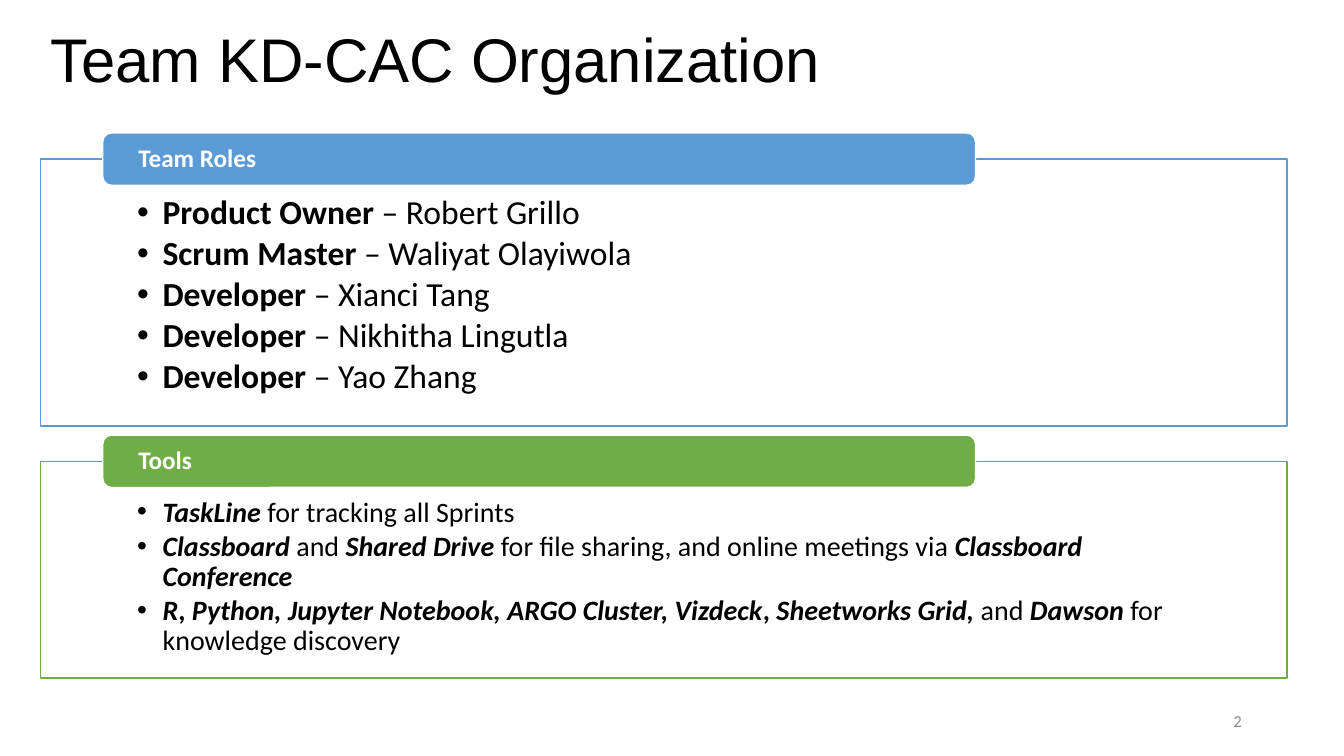
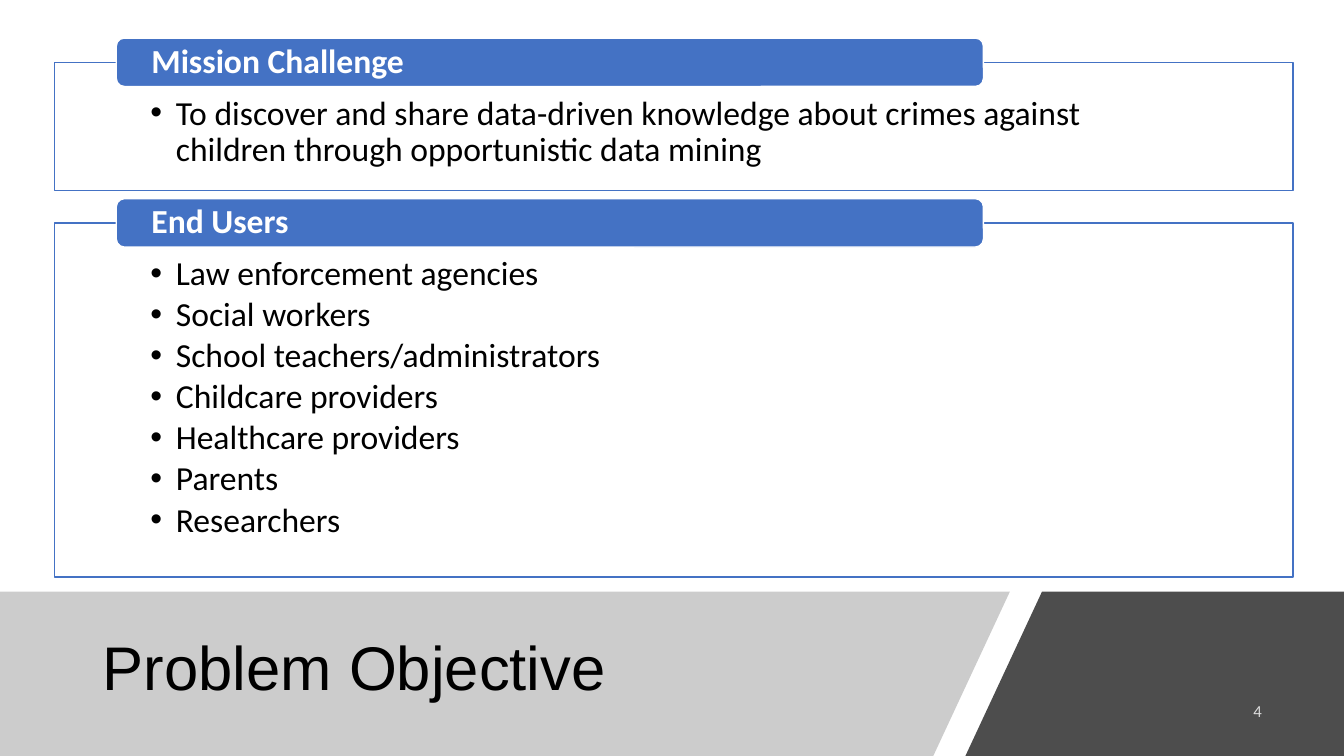
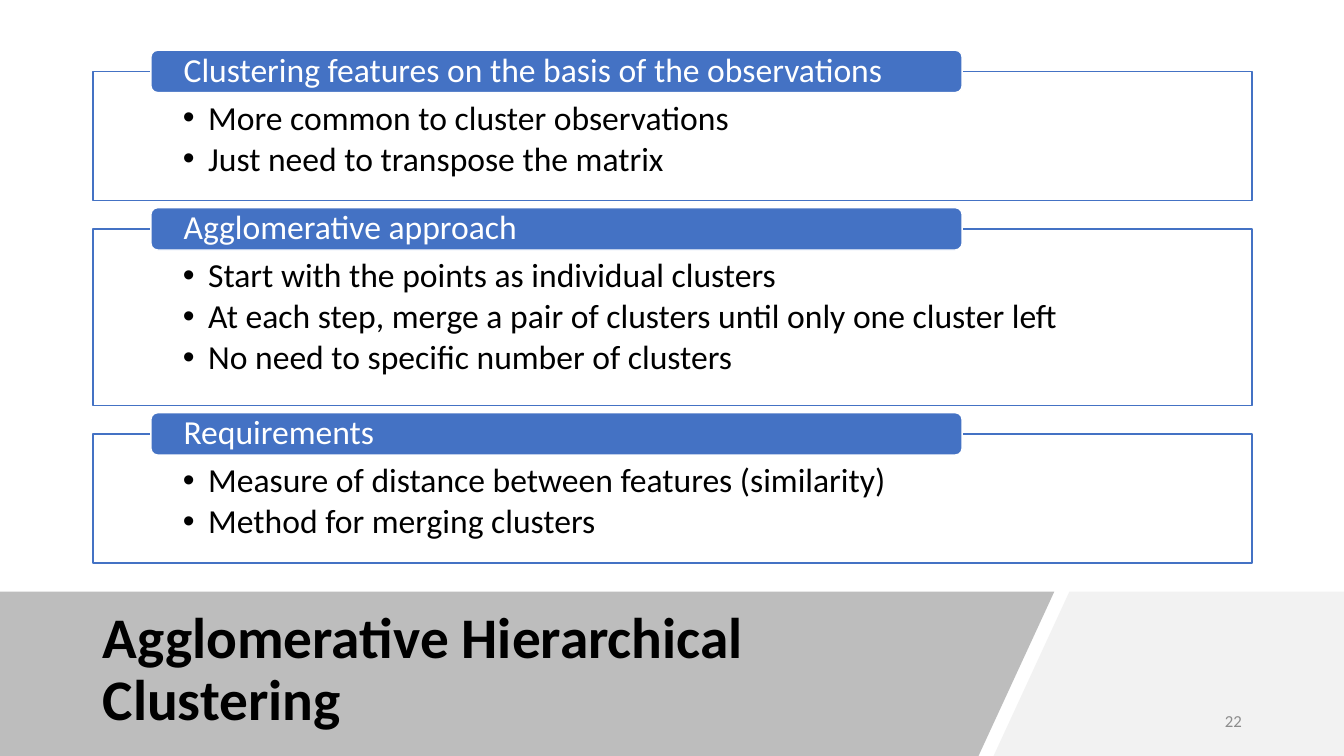
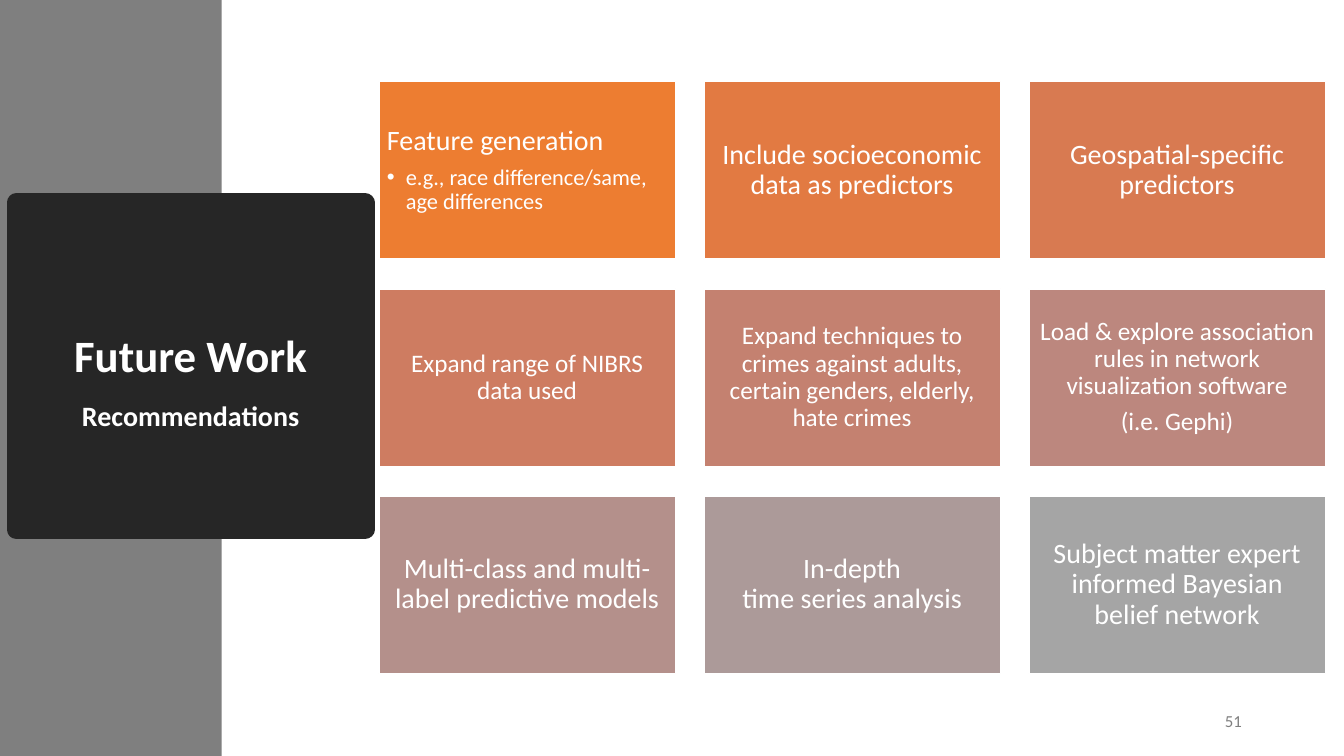
from lxml import etree
from pptx import Presentation
from pptx.dml.color import RGBColor
from pptx.enum.shapes import MSO_SHAPE
from pptx.enum.text import MSO_ANCHOR, MSO_AUTO_SIZE, PP_ALIGN
from pptx.oxml.ns import qn
from pptx.util import Cm, Pt

RECT, ROUNDED = MSO_SHAPE.RECTANGLE, MSO_SHAPE.ROUNDED_RECTANGLE
LEFT, CENTER, RIGHT = PP_ALIGN.LEFT, PP_ALIGN.CENTER, PP_ALIGN.RIGHT
TOP, MIDDLE = MSO_ANCHOR.TOP, MSO_ANCHOR.MIDDLE

WHITE = RGBColor(0xFF, 0xFF, 0xFF)
BLACK = RGBColor(0x00, 0x00, 0x00)
SKY = RGBColor(0x5B, 0x9B, 0xD5)
GREEN = RGBColor(0x70, 0xAD, 0x47)
BLUE = RGBColor(0x44, 0x72, 0xC4)
CHARCOAL = RGBColor(0x26, 0x26, 0x26)
DARK_GRAY = RGBColor(0x4D, 0x4D, 0x4D)
SIDE_GRAY = RGBColor(0x7F, 0x7F, 0x7F)
MID_GRAY = RGBColor(0xBD, 0xBD, 0xBD)
LIGHT_GRAY = RGBColor(0xCC, 0xCC, 0xCC)
PALE_GRAY = RGBColor(0xF2, 0xF2, 0xF2)
NUMBER_GRAY = RGBColor(0x8C, 0x8C, 0x8C)
NUMBER_PALE = RGBColor(0xDB, 0xDB, 0xDB)
TILE_COLORS = [RGBColor.from_string(c) for c in (
    "ED7D31", "E27A42", "D87A51", "CE7C61", "C48170",
    "BC877E", "B4908B", "AC9A99", "A5A5A5")]

BODY_FONT, TITLE_FONT = "Calibri", "Arial"
SLIDE_W, SLIDE_H = 33.87, 19.05
BAND_TOP = 14.91


# Text
def add_run(p, text, size, color, style="", font=BODY_FONT):
    r = p.add_run()
    r.text = text
    f = r.font
    f.size, f.name, f.color.rgb = Pt(size), font, color
    f.bold, f.italic = "b" in style, "i" in style


def set_frame(tf, anchor, side=0.25, top=0.13, bottom=0.13):
    tf.word_wrap = True
    tf.auto_size = MSO_AUTO_SIZE.NONE
    tf.vertical_anchor = anchor
    tf.margin_left = tf.margin_right = Cm(side)
    tf.margin_top, tf.margin_bottom = Cm(top), Cm(bottom)


def set_bullet(p, indent):
    pPr = p._p.get_or_add_pPr()
    pPr.set("marL", str(Cm(indent)))
    pPr.set("indent", str(-Cm(indent)))
    etree.SubElement(pPr, qn("a:buFont")).set("typeface", "Arial")
    etree.SubElement(pPr, qn("a:buChar")).set("char", "•")


def next_paragraph(tf, align=LEFT, spacing=0.9, after=0):
    p = tf.paragraphs[0]
    if p.runs:
        p = tf.add_paragraph()
    p.alignment, p.line_spacing, p.space_after = align, spacing, Pt(after)
    return p


# Shapes
def paint(sp, fill, line=None, width=1):
    sp.shadow.inherit = False
    sp.fill.solid()
    sp.fill.fore_color.rgb = fill
    if line is None:
        sp.line.fill.background()
    else:
        sp.line.color.rgb = line
        sp.line.width = Pt(width)


def add_box(slide, kind, x, y, w, h, fill, line=None):
    sp = slide.shapes.add_shape(kind, Cm(x), Cm(y), Cm(w), Cm(h))
    paint(sp, fill, line)
    return sp


def send_to_back(sp):
    sp.element.getparent().insert(2, sp.element)


def add_band(slide, top_left, top_right, bottom_right, bottom_left, fill):
    corners = [(top_right, BAND_TOP), (bottom_right, SLIDE_H), (bottom_left, SLIDE_H)]
    fb = slide.shapes.build_freeform(Cm(top_left), Cm(BAND_TOP))
    fb.add_line_segments([(Cm(x), Cm(y)) for x, y in corners])
    sp = fb.convert_to_shape()
    paint(sp, fill)
    send_to_back(sp)


# Slide parts
def add_slide(prs, runs, x, y, w, h, align=LEFT, spacing=0.9):
    """Add a slide; runs are the title's (text, size, style, font)."""
    slide = prs.slides.add_slide(prs.slide_layouts[5])
    title = slide.shapes.title
    title.left, title.top, title.width, title.height = Cm(x), Cm(y), Cm(w), Cm(h)
    set_frame(title.text_frame, MIDDLE)
    p = next_paragraph(title.text_frame, align, spacing)
    for text, size, style, font in runs:
        add_run(p, text, size, WHITE if align == CENTER else BLACK, style, font)
    return slide


def add_number(slide, text, color=NUMBER_GRAY, right=31.55, y=17.65):
    w = 3
    tb = slide.shapes.add_textbox(Cm(right - w), Cm(y), Cm(w), Cm(1.02))
    set_frame(tb.text_frame, MIDDLE)
    add_run(next_paragraph(tb.text_frame, RIGHT, 1), text, 12, color)


def add_panels(slide, x, y, w, head_h, panels, head_size=24, head_style="b"):
    """Stack outlined lists; panels are (heading, color, height, size, items)."""
    for heading, color, h, size, items in panels:
        panel = add_box(slide, RECT, x, y, w, h, WHITE, color)
        tf = panel.text_frame
        set_frame(tf, TOP, w * 0.0776, head_h * 0.7, 0.45)
        for item in items:
            p = next_paragraph(tf, after=round(size * 0.14, 1))
            set_bullet(p, 0.64)
            for text, style in [(item, "")] if isinstance(item, str) else item:
                add_run(p, text, size, BLACK, style)

        head = add_box(slide, ROUNDED, x + w * 0.05, y - head_h / 2,
                       w * 0.7, head_h, color, WHITE)
        set_frame(head.text_frame, MIDDLE, w * 0.0265, 0, 0)
        add_run(next_paragraph(head.text_frame), heading, head_size, WHITE, head_style)
        y += h + head_h * 0.67


def add_tiles(slide, tiles):
    """Lay tiles out in three columns; a tile is (size, paragraphs)."""
    for i, (size, texts) in enumerate(tiles):
        row, col = divmod(i, 3)
        sp = add_box(slide, RECT, 9.55 + col * 8.19, 2.06 + row * 5.22,
                     7.47, 4.47, TILE_COLORS[i], WHITE)
        tf = sp.text_frame
        set_frame(tf, MIDDLE, 0.2, 0.2, 0.2)
        for text in texts:
            is_sub = text.startswith("e.g.")
            has_sub = texts[-1].startswith("e.g.")
            p = next_paragraph(tf, LEFT if has_sub else CENTER, after=size * 0.35)
            if is_sub:
                set_bullet(p, 0.48)
            for n, part in enumerate(text.split("\n")):
                if n:
                    p.add_line_break()
                add_run(p, part, 16 if is_sub else size, WHITE)


# Slides
def organization(prs):
    slide = add_slide(prs, [("Team KD-CAC Organization", 44, "", TITLE_FONT)],
                      1.02, 0.51, 29.21, 2.13)
    roles = [
        [("Product Owner ", "b"), ("– Robert Grillo", "")],
        [("Scrum Master ", "b"), ("– Waliyat Olayiwola", "")],
        [("Developer", "b"), (" – Xianci Tang", "")],
        [("Developer", "b"), (" – Nikhitha Lingutla", "")],
        [("Developer", "b"), (" – Yao Zhang", "")],
    ]
    tools = [
        [("TaskLine", "bi"), (" for tracking all Sprints", "")],
        [("Classboard", "bi"), (" and ", ""), ("Shared Drive ", "bi"),
         ("for file sharing, and online meetings via ", ""),
         ("Classboard Conference", "bi")],
        [("R", "bi"), (", ", "b"),
         ("Python, Jupyter Notebook, ARGO Cluster, Vizdeck", "bi"), (", ", "b"),
         ("Sheetworks Grid, ", "bi"), ("and ", ""), ("Dawson ", "bi"),
         ("for knowledge discovery", "")],
    ]
    add_panels(slide, 1.02, 4.01, 31.42, 1.32, [
        ("Team Roles", SKY, 6.73, 24, roles),
        ("Tools", GREEN, 5.46, 20, tools),
    ], head_size=18)
    add_number(slide, "2")


def objective(prs):
    slide = add_slide(prs, [("Problem Objective", 44, "", TITLE_FONT)],
                      2.34, 15.37, 21.44, 3.05)
    add_band(slide, 0, 25.45, 23.52, 0, LIGHT_GRAY)
    add_band(slide, 26.26, SLIDE_W, SLIDE_W, 24.33, DARK_GRAY)
    add_panels(slide, 1.37, 1.57, 31.22, 1.22, [
        ("Mission Challenge", BLUE, 3.23, 24, [
            "To discover and share data-driven knowledge about crimes against "
            "children through opportunistic data mining"]),
        ("End Users", BLUE, 8.92, 24, [
            "Law enforcement agencies", "Social workers",
            "School teachers/administrators", "Childcare providers",
            "Healthcare providers", "Parents", "Researchers"]),
    ])
    add_number(slide, "4", NUMBER_PALE, 32.05, 17.4)


def clustering(prs):
    slide = add_slide(
        prs, [("Agglomerative Hierarchical Clustering", 41, "b", BODY_FONT)],
        2.34, 15.37, 22.43, 3.05)
    add_band(slide, 0, 26.57, 24.66, 0, MID_GRAY)
    add_band(slide, 26.95, SLIDE_W, SLIDE_W, 25.04, PALE_GRAY)
    add_panels(slide, 2.34, 1.8, 29.21, 1.07, [
        ("Clustering features on the basis of the observations", BLUE, 3.25, 24, [
            "More common to cluster observations",
            "Just need to transpose the matrix"]),
        ("Agglomerative approach", BLUE, 4.45, 24, [
            "Start with the points as individual clusters",
            "At each step, merge a pair of clusters until only one cluster left",
            "No need to specific number of clusters"]),
        ("Requirements", BLUE, 3.25, 24, [
            "Measure of distance between features (similarity)",
            "Method for merging clusters"]),
    ], head_style="")
    add_number(slide, "22")


def future_work(prs):
    slide = add_slide(prs, [("Future Work ", 32, "b", BODY_FONT),
                            ("Recommendations", 20, "b", BODY_FONT)],
                      0.41, 5.11, 8.79, 8.23, CENTER, 1.5)
    title = slide.shapes.title
    paint(title, CHARCOAL, CHARCOAL, 13.75)
    etree.SubElement(title.element.spPr.find(qn("a:ln")), qn("a:round"))
    send_to_back(add_box(slide, RECT, 0, 0, 5.59, SLIDE_H, SIDE_GRAY))
    add_tiles(slide, [
        (20, ["Feature generation", "e.g., race difference/same, age differences"]),
        (20, ["Include socioeconomic data as predictors"]),
        (20, ["Geospatial-specific predictors"]),
        (18, ["Expand range of NIBRS data used"]),
        (18, ["Expand techniques to crimes against adults, certain genders, "
              "elderly, hate crimes"]),
        (18, ["Load & explore association rules in network visualization software",
              "(i.e. Gephi)"]),
        (20, ["Multi-class and multi-label predictive models"]),
        (20, ["In-depth\ntime series analysis"]),
        (20, ["Subject matter expert informed Bayesian belief network"]),
    ])
    add_number(slide, "51", SIDE_GRAY)


def main():
    prs = Presentation()
    prs.slide_width, prs.slide_height = Cm(SLIDE_W), Cm(SLIDE_H)
    organization(prs)
    objective(prs)
    clustering(prs)
    future_work(prs)
    prs.save("out.pptx")


if __name__ == "__main__":
    main()
